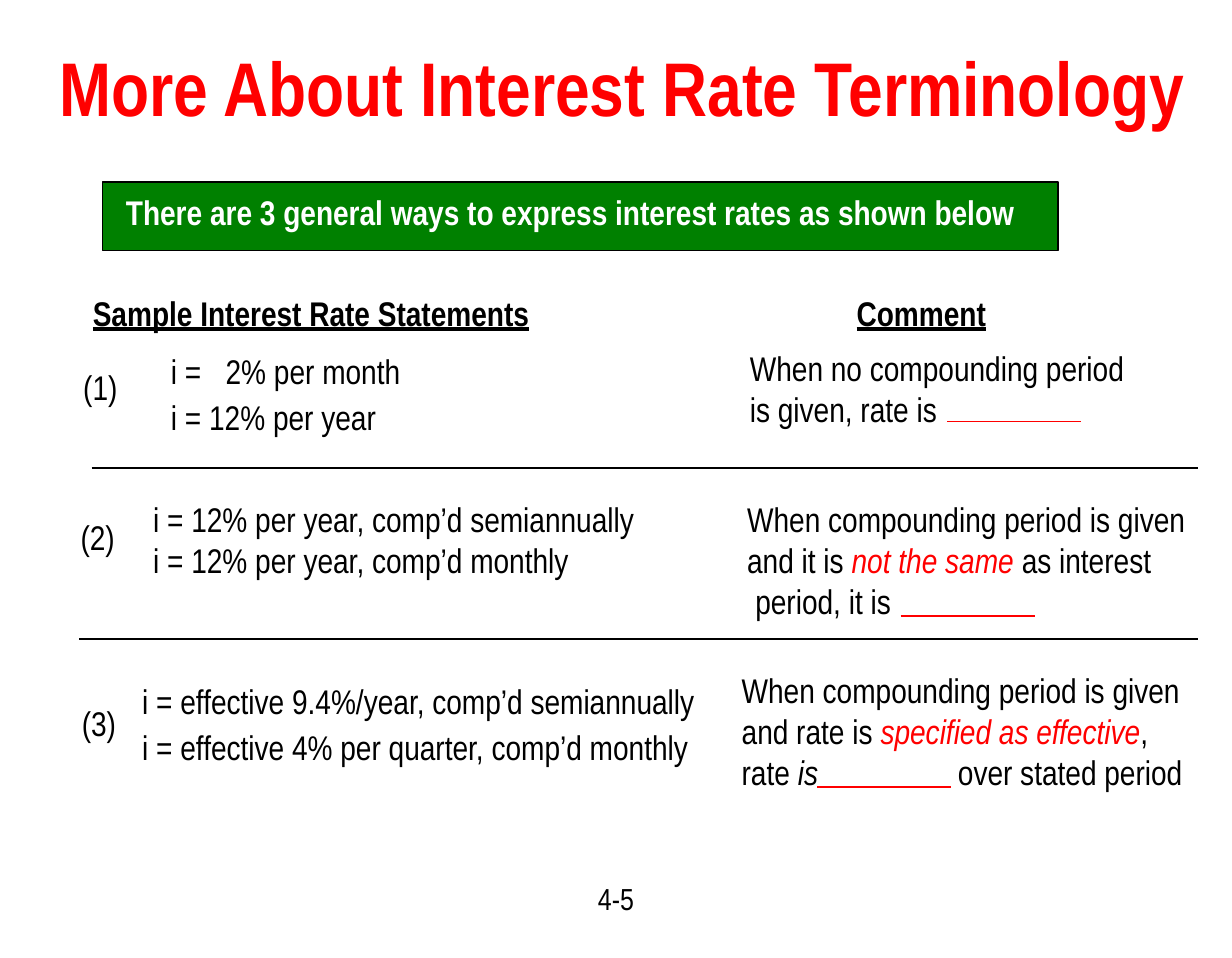
from dataclasses import dataclass

from lxml import etree
from pptx import Presentation
from pptx.dml.color import RGBColor
from pptx.enum.shapes import MSO_CONNECTOR, MSO_SHAPE
from pptx.enum.text import MSO_ANCHOR, PP_ALIGN
from pptx.oxml.ns import qn
from pptx.util import Inches, Pt

RECTANGLE = MSO_SHAPE.RECTANGLE
STRAIGHT = MSO_CONNECTOR.STRAIGHT
LEFT, CENTER = PP_ALIGN.LEFT, PP_ALIGN.CENTER
TOP = MSO_ANCHOR.TOP


@dataclass(frozen=True)
class Theme:
    font: str = "Arial Narrow"
    ink: str = "000000"
    accent: str = "FF0000"
    banner: str = "008000"
    on_banner: str = "FFFFFF"
    title_size: int = 40
    body_size: int = 18
    number_size: int = 16
    thin: float = 0.75
    rule: float = 1.25


THEME = Theme()
EMPHASIS = {"italic": True, "color": THEME.accent}


def rgb(value):
    return RGBColor.from_string(value)


def fill_text(frame, lines, *, size=THEME.body_size, color=THEME.ink, bold=False,
              underline=False, align=LEFT, tab=None, last_indent=0,
              insets=(0.1, 0.05)):
    """Each line is a list of runs; a run is a string or (string, format)."""
    frame.word_wrap = True
    frame.vertical_anchor = TOP
    frame.margin_left, frame.margin_top = map(Inches, insets)
    for index, runs in enumerate(lines):
        paragraph = frame.paragraphs[0] if index == 0 else frame.add_paragraph()
        paragraph.alignment = align
        properties = paragraph._p.get_or_add_pPr()
        if last_indent and index == len(lines) - 1:
            properties.set("marL", str(Inches(last_indent)))
            properties.set("indent", "0")
        if tab:
            stops = etree.SubElement(properties, qn("a:tabLst"))
            etree.SubElement(stops, qn("a:tab"), pos=str(Inches(tab)), algn="l")
        for item in runs:
            words, style = (item, {}) if isinstance(item, str) else item
            run = paragraph.add_run()
            run.text = words
            run.font.name = THEME.font
            run.font.size = Pt(size)
            run.font.bold = bold
            run.font.underline = underline
            run.font.italic = style.get("italic", False)
            run.font.color.rgb = rgb(style.get("color", color))


def add_text(slide, box, lines, **style):
    area = slide.shapes.add_textbox(*map(Inches, box))
    fill_text(area.text_frame, lines, **style)


def add_rule(slide, left, right, y, color, width):
    rule = slide.shapes.add_connector(
        STRAIGHT, Inches(left), Inches(y), Inches(right), Inches(y))
    rule.line.color.rgb = rgb(color)
    rule.line.width = Pt(width)
    etree.SubElement(rule._element.spPr, qn("a:effectLst"))


def add_banner(slide, box, words):
    banner = slide.shapes.add_shape(RECTANGLE, *map(Inches, box))
    banner.shadow.inherit = False
    banner.fill.solid()
    banner.fill.fore_color.rgb = rgb(THEME.banner)
    banner.line.color.rgb = rgb(THEME.ink)
    banner.line.width = Pt(THEME.thin)
    fill_text(banner.text_frame, [[words]], color=THEME.on_banner, bold=True,
              insets=(0.17, 0.07))


def add_headings(slide, left, top):
    for offset, width, words in ((0, 4, "Sample Interest Rate Statements"),
                                 (5.58, 2, "Comment")):
        add_text(slide, (left + offset, top, width, 0.4), [[words]],
                 bold=True, underline=True)


def add_case(slide, left, top, number, number_drop, statements, statement_at,
             comment, comment_at, blank_at, statement_tab=None,
             comment_tab=None, last_indent=0):
    """One numbered row: statements, comment and the blank to fill in."""
    line_height, statement_step, blank_width = 0.3, 0.34, 0.98
    add_text(slide, (left, top + number_drop, 0.6, 0.4), [[number]])

    # Statement groups
    dx, dy = statement_at
    for index, group in enumerate(statements):
        add_text(slide, (left + dx, top + dy + index * statement_step, 4.35,
                         0.1 + line_height * len(group)),
                 group, tab=statement_tab)

    # Comment and its blank
    add_text(slide, (left + comment_at, top, 3.6, 0.1 + line_height * len(comment)),
             comment, tab=comment_tab, last_indent=last_indent)
    dx, dy = blank_at
    add_rule(slide, left + dx, left + dx + blank_width, top + dy,
             THEME.accent, THEME.thin)


def build_slide(slide):
    add_text(slide, (0.17, 0.25, 8.75, 0.89),
             [["More About Interest Rate Terminology"]],
             size=THEME.title_size, color=THEME.accent, bold=True, align=CENTER)
    add_banner(slide, (0.75, 1.33, 6.98, 0.5),
               "There are 3 general ways to express interest rates as shown below")
    add_headings(slide, 0.58, 2.09)

    # No compounding period
    add_case(slide, 0.51, 2.49, "(1)", 0.14,
             [[["i =\t2% per month"]], [["i = 12% per year"]]], (0.64, 0.02),
             [["When no compounding period"], ["is given, rate is"]], 4.87,
             (6.41, 0.59), statement_tab=0.4)
    add_rule(slide, 0.67, 8.75, 3.42, THEME.ink, THEME.rule)

    # Compounding period differs from interest period
    add_case(slide, 0.49, 3.59, "(2)", 0.13,
             [[["i = 12% per year, comp’d semiannually"],
               ["i = 12% per year, comp’d monthly"]]], (0.53, 0),
             [["When compounding period is given"],
              ["and it is ", ("not the same ", EMPHASIS), "as interest"],
              ["period, it is"]], 4.87, (6.09, 0.91), last_indent=0.06)
    add_rule(slide, 0.58, 8.75, 4.67, THEME.ink, THEME.rule)

    # Rate specified as effective
    add_case(slide, 0.5, 4.84, "(3)", 0.24,
             [[["i = effective 9.4%/year, comp’d semiannually"]],
              [["i = effective 4% per quarter, comp’d monthly"]]], (0.44, 0.08),
             [["When compounding period is given"],
              ["and rate is ", ("specified as effective", EMPHASIS), ","],
              ["rate ", ("is", {"italic": True}), "\tover stated period"]],
             4.82, (5.47, 0.91), comment_tab=1.58)

    # Page number
    add_text(slide, (3.9, 6.38, 1.2, 0.47), [["4-5"]],
             size=THEME.number_size, align=CENTER)


def main():
    deck = Presentation()
    deck.slide_width, deck.slide_height = Inches(9), Inches(7)
    build_slide(deck.slides.add_slide(deck.slide_layouts[6]))
    deck.save("out.pptx")


if __name__ == "__main__":
    main()
